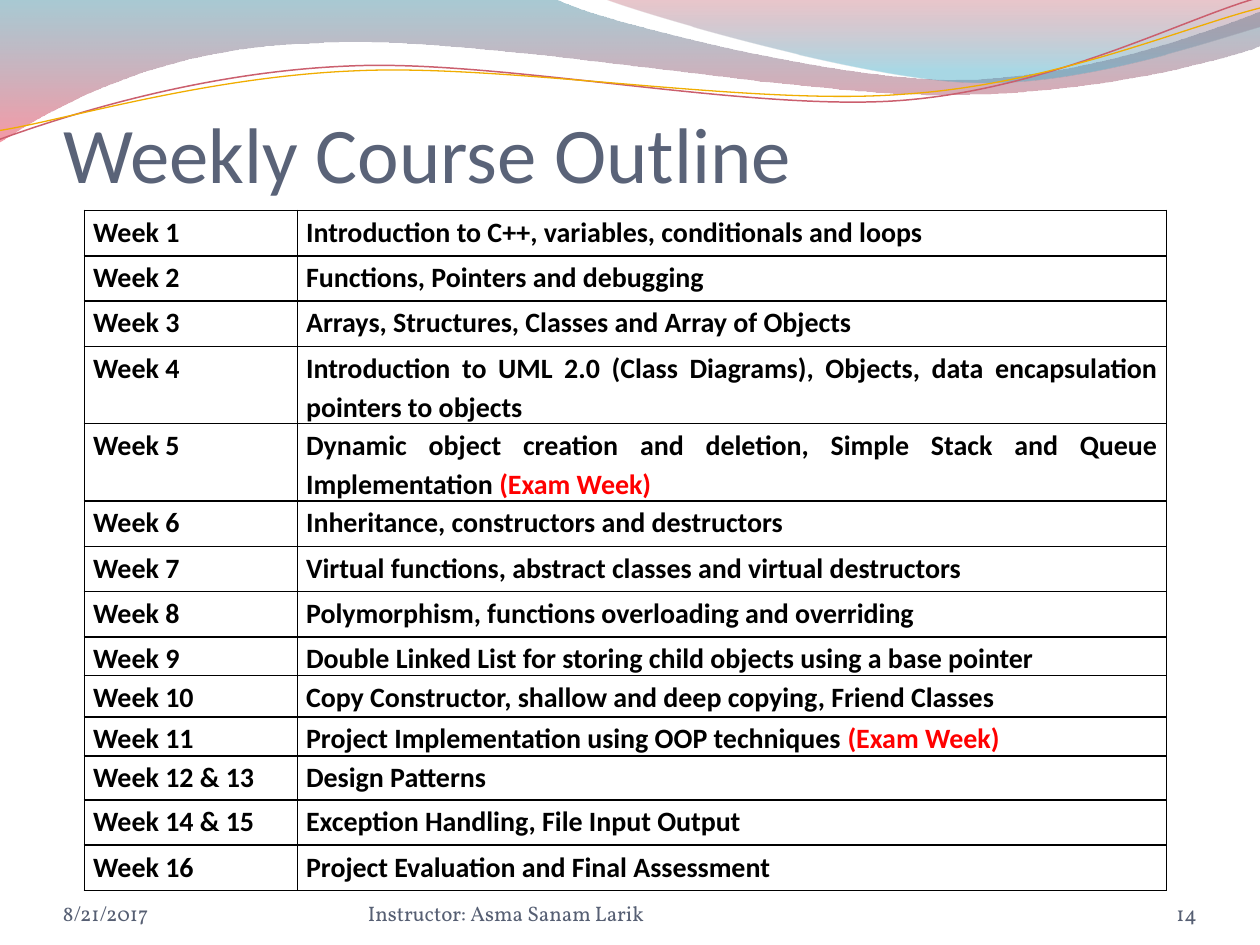
"""Build the weekly course outline slide."""
from dataclasses import dataclass

from lxml import etree
from pptx import Presentation
from pptx.dml.color import RGBColor
from pptx.enum.text import MSO_ANCHOR, PP_ALIGN
from pptx.oxml.ns import qn
from pptx.util import Inches, Pt

BOTTOM = MSO_ANCHOR.BOTTOM
LEFT, RIGHT, JUSTIFY = PP_ALIGN.LEFT, PP_ALIGN.RIGHT, PP_ALIGN.JUSTIFY
TITLE_ONLY_LAYOUT = 5
BLACK, RED, SLATE, FOOTER_GREY = "000000", "FF0000", "5A6378", "565F73"
BORDER_SIDES = ("a:lnL", "a:lnR", "a:lnT", "a:lnB")


@dataclass
class GradientStop:
    position: float
    color: str
    opacity: int


@dataclass
class Wave:
    start: tuple
    segments: list
    stops: tuple


@dataclass
class Strand:
    start: tuple
    segments: list
    color: str
    width: float


@dataclass
class FooterItem:
    wording: str
    left: float
    width: float
    align: PP_ALIGN = LEFT


@dataclass
class Week:
    label: str
    topic: str
    height: float = 0.36
    exam: str = ""


WAVES = [
    Wave((0, 0), [
        [(4.4, -0.01)],
        [(4.76, 0.17), (6.64, 0.63), (7.58, 0.63)],
        [(8.53, 0.63), (9.58, 0.26), (10, 0.09)],
        [(10.01, 0.36)],
        [(9.83, 0.44), (8.7, 0.76), (7.46, 0.75)],
        [(6.22, 0.75), (3.82, 0.28), (2.57, 0.34)],
        [(1.29, 0.36), (0.46, 0.83), (-0.01, 1.13)],
        [(0, 0)],
    ], (GradientStop(0, "3F8A9F", 45), GradientStop(1, "EF445B", 55))),
    Wave((4.79, -0.01), [
        [(5.09, 0.11), (6.82, 0.62), (7.69, 0.65)],
        [(8.56, 0.69), (9.61, 0.32), (10, 0.21)],
        [(10, 0)],
        [(4.79, -0.01)],
    ], (GradientStop(0, "B84253", 30), GradientStop(0.8, "42ABC7", 45))),
]
STRAND_ROTATION = 357.3
STRANDS = [
    Strand((-0.02, 0.87), [
        [(0.47, 0.72), (1.58, 0.41), (2.78, 0.42)],
        [(3.96, 0.42), (5.91, 0.93), (7.12, 0.9)],
        [(8.32, 0.87), (9.4, 0.36), (10, 0.22)],
    ], "CB5F6E", 0.85),
    Strand((-0.02, 0.8), [
        [(0.46, 0.75), (1.64, 0.45), (2.83, 0.46)],
        [(4.03, 0.46), (5.96, 0.89), (7.16, 0.85)],
        [(8.35, 0.83), (9.42, 0.42), (10.02, 0.3)],
    ], "F0AD00", 0.75),
]
FOOTER = [
    FooterItem("8/21/2017", 0.5, 2.33),
    FooterItem("Instructor: Asma Sanam Larik", 2.92, 3.67),
    FooterItem("14", 8.67, 0.83, RIGHT),
]
COLUMN_WIDTHS = (1.69, 6.9)
WEEKS = [
    Week("Week 1", "Introduction to C++, variables, conditionals and loops"),
    Week("Week 2", "Functions, Pointers and debugging"),
    Week("Week 3", "Arrays, Structures, Classes and Array of Objects"),
    Week("Week 4", "Introduction to UML 2.0 (Class Diagrams), Objects, "
         "data encapsulation pointers to objects", 0.6),
    Week("Week 5", "Dynamic object creation and deletion, Simple Stack and "
         "Queue Implementation ", 0.6, "(Exam Week)"),
    Week("Week 6", "Inheritance, constructors and destructors"),
    Week("Week 7", "Virtual functions, abstract classes and virtual destructors"),
    Week("Week 8", "Polymorphism, functions overloading and overriding"),
    Week("Week 9", "Double Linked List for storing child objects using a base pointer", 0.3),
    Week("Week 10 ", "Copy Constructor, shallow and deep copying, Friend Classes", 0.33),
    Week("Week 11", "Project Implementation using OOP techniques ", 0.3, "(Exam Week)"),
    Week("Week 12 & 13", "Design Patterns", 0.35),
    Week("Week 14 & 15", "Exception Handling, File Input Output"),
    Week("Week 16", "Project Evaluation and Final Assessment"),
]


def rgb(color: str) -> RGBColor:
    return RGBColor.from_string(color)


def add_run(paragraph, wording: str, font: str, size: float, color: str, bold: bool = False) -> None:
    run = paragraph.add_run()
    run.text = wording
    run.font.name, run.font.size, run.font.bold = font, Pt(size), bold
    run.font.color.rgb = rgb(color)


def add_outline(slide, start: tuple, segments: list, close: bool):
    builder = slide.shapes.build_freeform(Inches(start[0]), Inches(start[1]))
    points = [point for segment in segments for point in segment]
    builder.add_line_segments([(Inches(x), Inches(y)) for x, y in points], close=close)
    outline = builder.convert_to_shape()
    outline.shadow.inherit = False
    steps = iter(list(outline.element.spPr.iter(qn("a:lnTo"))))
    for segment in segments:
        corners = [next(steps) for _ in segment]
        if len(corners) == 3:
            curve = corners[0].makeelement(qn("a:cubicBezTo"))
            corners[0].addprevious(curve)
            for corner in corners:
                curve.append(corner[0])
                corner.getparent().remove(corner)
    return outline


def add_wave(slide, wave: Wave) -> None:
    outline = add_outline(slide, wave.start, wave.segments, True)
    outline.line.fill.background()
    outline.fill.gradient()
    outline.fill.gradient_angle = 270
    for target, stop in zip(outline.fill.gradient_stops, wave.stops):
        target.position = stop.position
        target.color.rgb = rgb(stop.color)
    for node, stop in zip(outline.element.spPr.iter(qn("a:srgbClr")), wave.stops):
        etree.SubElement(node, qn("a:alpha"), val=str(stop.opacity * 1000))


def add_strand(slide, strand: Strand) -> None:
    outline = add_outline(slide, strand.start, strand.segments, False)
    outline.fill.background()
    outline.line.color.rgb = rgb(strand.color)
    outline.line.width = Pt(strand.width)
    outline.rotation = STRAND_ROTATION


def add_title(slide, wording: str) -> None:
    title = slide.shapes.title
    slide.shapes.element.append(title.element)
    title.left, title.top, title.width, title.height = map(Inches, (0.5, 0.77, 9, 0.81))
    frame = title.text_frame
    frame.vertical_anchor = BOTTOM
    frame.margin_left = frame.margin_right = frame.margin_bottom = 0
    frame.margin_top = Inches(0.05)
    frame.paragraphs[0].alignment = LEFT
    add_run(frame.paragraphs[0], wording, "Calibri", 45, SLATE)


def add_footer_item(slide, item: FooterItem) -> None:
    frame = slide.shapes.add_textbox(
        Inches(item.left), Inches(6.95), Inches(item.width), Inches(0.4)).text_frame
    frame.word_wrap = True
    frame.vertical_anchor = BOTTOM
    frame.margin_left = frame.margin_right = frame.margin_top = frame.margin_bottom = 0
    frame.paragraphs[0].alignment = item.align
    add_run(frame.paragraphs[0], item.wording, "Vollkorn", 12, FOOTER_GREY)


def fill_cell(cell, wording: str, exam: str = "") -> None:
    cell.margin_left = cell.margin_right = Inches(0.07)
    cell.margin_top = cell.margin_bottom = 0
    paragraph = cell.text_frame.paragraphs[0]
    paragraph.alignment, paragraph.line_spacing, paragraph.space_after = JUSTIFY, 1.15, Pt(10)
    add_run(paragraph, wording, "Calibri", 16, BLACK, True)
    if exam:
        add_run(paragraph, exam, "Calibri", 16, RED, True)
    properties = cell._tc.get_or_add_tcPr()
    for side in BORDER_SIDES:
        border = etree.SubElement(properties, qn(side), w=str(Pt(1)))
        etree.SubElement(etree.SubElement(border, qn("a:solidFill")), qn("a:srgbClr"), val=BLACK)
    cell.fill.background()


def add_schedule(slide) -> None:
    schedule = slide.shapes.add_table(
        len(WEEKS), len(COLUMN_WIDTHS), Inches(0.67), Inches(1.67),
        Inches(sum(COLUMN_WIDTHS)), Inches(sum(week.height for week in WEEKS))).table
    schedule.first_row = schedule.horz_banding = False
    for column, width in zip(schedule.columns, COLUMN_WIDTHS):
        column.width = Inches(width)
    for row, week in zip(schedule.rows, WEEKS):
        row.height = Inches(week.height)
        fill_cell(row.cells[0], week.label)
        fill_cell(row.cells[1], week.topic, week.exam)


def main() -> None:
    deck = Presentation()
    deck.slide_width, deck.slide_height = Inches(10), Inches(7.5)
    slide = deck.slides.add_slide(deck.slide_layouts[TITLE_ONLY_LAYOUT])
    for wave in WAVES:
        add_wave(slide, wave)
    for strand in STRANDS:
        add_strand(slide, strand)
    add_title(slide, "Weekly Course Outline")
    for item in FOOTER:
        add_footer_item(slide, item)
    add_schedule(slide)
    deck.save("out.pptx")


main()
